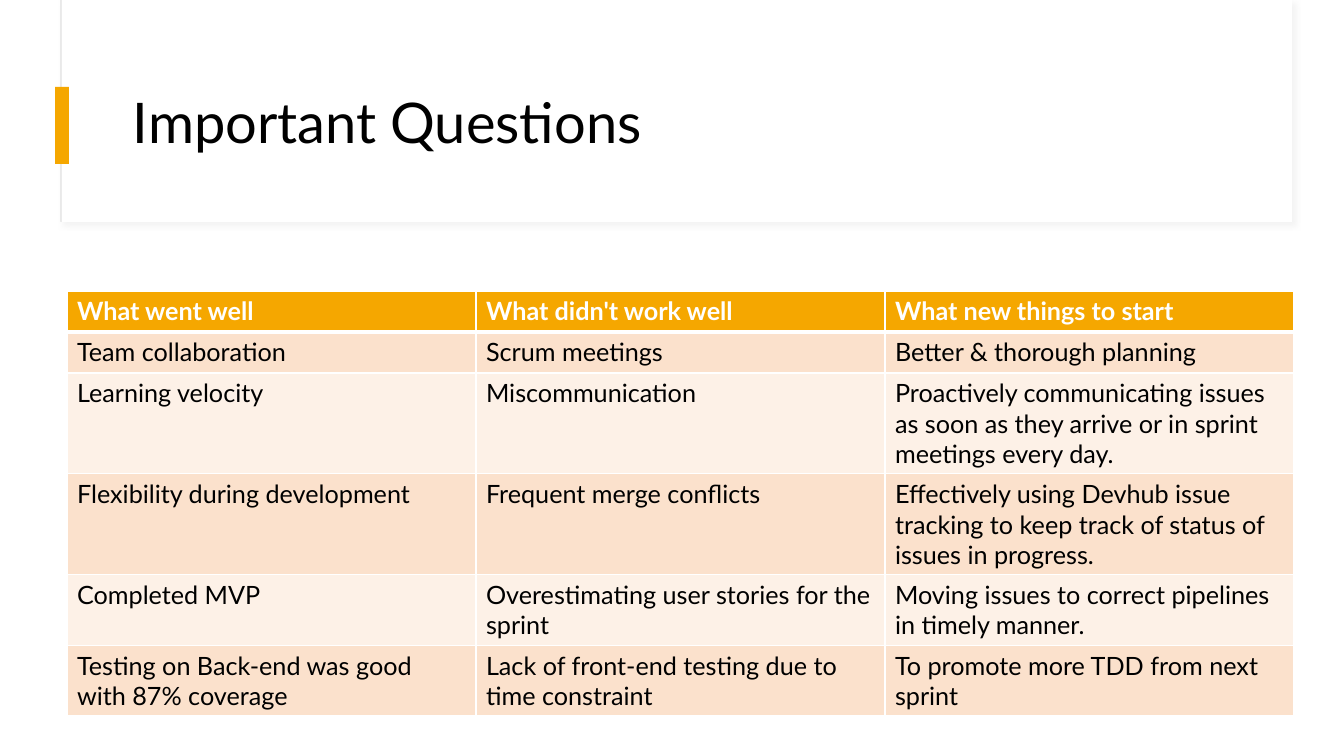
from dataclasses import dataclass

from lxml.etree import SubElement
from pptx import Presentation
from pptx.dml.color import RGBColor
from pptx.enum.shapes import MSO_SHAPE
from pptx.enum.text import MSO_ANCHOR
from pptx.oxml import parse_xml
from pptx.oxml.ns import nsdecls, qn
from pptx.util import Emu, Pt


@dataclass(frozen=True)
class Theme:
    """Colours, font and type sizes of the slide."""
    font: str = "Lato"
    title_size: int = 40
    table_size: int = 18
    white: str = "FFFFFF"
    ink: str = "000000"
    accent: str = "F5A700"
    outline: str = "E9E9E9"
    shadow: str = "D9D9D9"
    bands: tuple = ("FBE1CC", "FDF1E7")


def px(length):
    """Turn px into EMU."""
    return Emu(round(length * 914400 / 100.8))


class SlideBuilder:
    """Draws styled elements on the current slide."""

    def __init__(self, slide, theme):
        """Keep the slide and its theme."""
        self.slide = slide
        self.theme = theme

    def panel(self, box, fill, line=None, shadow=None):
        """Add a filled rectangle with an optional outline and soft shadow."""
        panel = self.slide.shapes.add_shape(MSO_SHAPE.RECTANGLE, *map(px, box))
        panel.shadow.inherit = False
        panel.fill.solid()
        panel.fill.fore_color.rgb = RGBColor.from_string(fill)
        if line:
            panel.line.color.rgb = RGBColor.from_string(line)
            panel.line.width = Pt(0.75)
        else:
            panel.line.fill.background()
        if shadow:
            effects = panel._element.spPr.find(qn("a:effectLst"))
            outer = SubElement(effects, qn("a:outerShdw"), blurRad=str(Pt(4)),
                               dist=str(Pt(3)), dir="2700000", algn="tl", rotWithShape="0")
            colour = SubElement(outer, qn("a:srgbClr"), val=shadow)
            SubElement(colour, qn("a:alpha"), val="30000")

    def text_run(self, paragraph, text, size, colour, bold=False):
        """Add one styled run to a paragraph."""
        run = paragraph.add_run()
        run.text = text
        run.font.name = self.theme.font
        run.font.size = Pt(size)
        run.font.bold = bold
        run.font.color.rgb = RGBColor.from_string(colour)

    def title(self, box, text):
        """Add the vertically centred heading."""
        frame = self.slide.shapes.add_textbox(*map(px, box)).text_frame
        frame.word_wrap = True
        frame.vertical_anchor = MSO_ANCHOR.MIDDLE
        heading = frame.paragraphs[0]
        heading.line_spacing = 0.9
        self.text_run(heading, text, self.theme.title_size, self.theme.ink)

    def borders(self, cell, top, bottom):
        """Give a cell white borders, with top and bottom widths in points."""
        properties = cell._tc.get_or_add_tcPr()
        sides = {"lnL": 1, "lnR": 1, "lnT": top, "lnB": bottom}
        for position, (side, width) in enumerate(sides.items()):
            properties.insert(position, parse_xml(
                f'<a:{side} {nsdecls("a")} w="{Pt(width)}"><a:solidFill>'
                f'<a:srgbClr val="{self.theme.white}"/></a:solidFill></a:{side}>'))

    def table(self, left, top, column_width, row_height, rows):
        """Add a table with a header row and alternating bands."""
        columns = len(rows[0])
        table = self.slide.shapes.add_table(
            len(rows), columns, px(left), px(top),
            px(column_width * columns), px(row_height * len(rows))).table
        table.horz_banding = False
        for column in table.columns:
            column.width = px(column_width)
        for row_index, texts in enumerate(rows):
            table.rows[row_index].height = px(row_height)
            header = row_index == 0
            fill = self.theme.accent if header else self.theme.bands[(row_index - 1) % 2]
            colour = self.theme.white if header else self.theme.ink
            for column_index, text in enumerate(texts):
                cell = table.cell(row_index, column_index)
                cell.fill.solid()
                cell.fill.fore_color.rgb = RGBColor.from_string(fill)
                self.borders(cell, 3 if row_index == 1 else 1, 3 if header else 1)
                self.text_run(cell.text_frame.paragraphs[0], text,
                              self.theme.table_size, colour, header)


RETROSPECTIVE = [
    ("What went well", "What didn't work well", "What new things to start"),
    ("Team collaboration", "Scrum meetings", "Better & thorough planning"),
    ("Learning velocity", "Miscommunication",
     "Proactively communicating issues as soon as they arrive or in sprint meetings every day."),
    ("Flexibility during development", "Frequent merge conflicts",
     "Effectively using Devhub issue tracking to keep track of status of issues in progress."),
    ("Completed MVP", "Overestimating user stories for the sprint",
     "Moving issues to correct pipelines in timely manner."),
    ("Testing on Back-end was good with 87% coverage",
     "Lack of front-end testing due to time constraint",
     "To promote more TDD from next sprint"),
]


def main():
    """Build and save the slide."""
    presentation = Presentation()
    presentation.slide_width, presentation.slide_height = px(1344), px(756)
    theme = Theme()
    builder = SlideBuilder(
        presentation.slides.add_slide(presentation.slide_layouts[6]), theme)
    builder.panel((61, 0, 1231, 222), theme.white, theme.outline, theme.shadow)
    builder.panel((62, 0, 1230, 222), theme.white)
    builder.panel((55, 87, 14, 77), theme.accent)
    builder.title((123, 60, 1121, 130), "Important Questions")
    builder.table(67, 291, 409, 41, RETROSPECTIVE)
    presentation.save("out.pptx")


if __name__ == "__main__":
    main()
